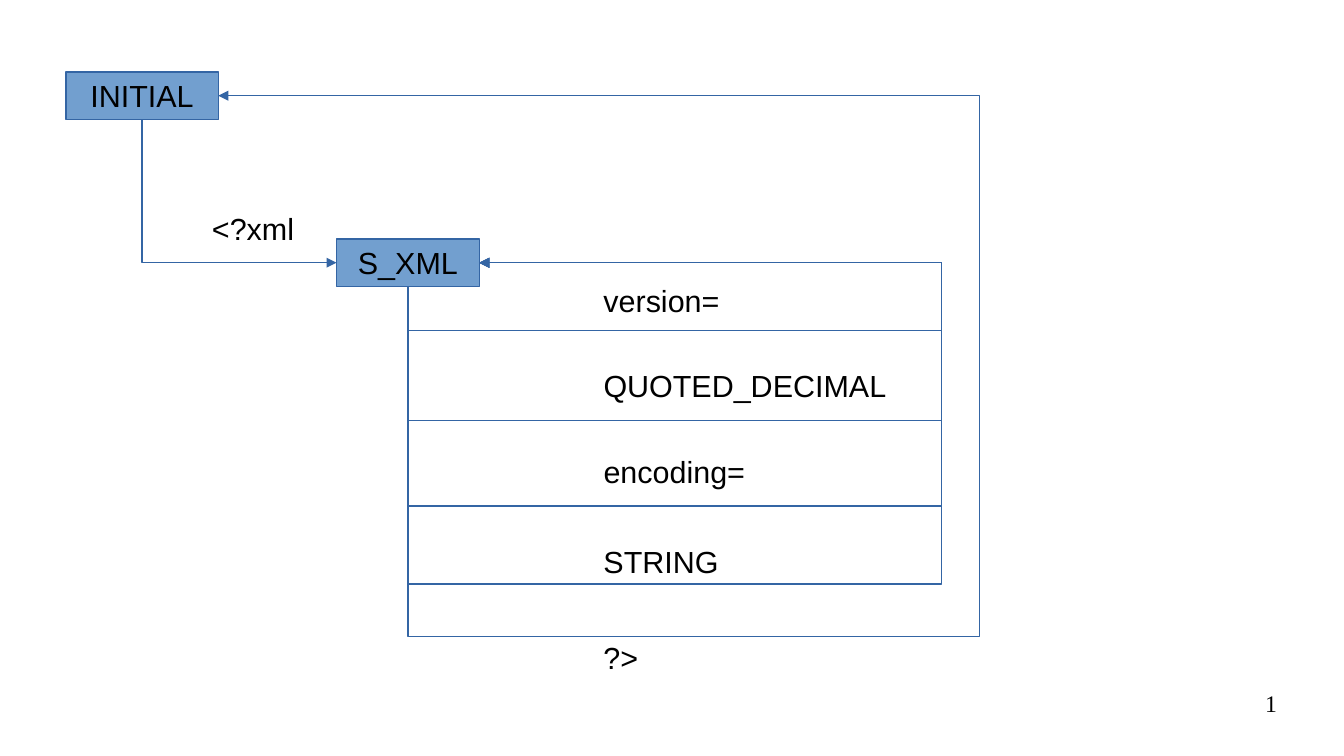
from lxml import etree
from pptx import Presentation
from pptx.dml.color import RGBColor
from pptx.enum.shapes import MSO_SHAPE
from pptx.enum.text import MSO_ANCHOR, PP_ALIGN
from pptx.oxml.ns import qn
from pptx.util import Inches, Pt

RECT = MSO_SHAPE.RECTANGLE
MIDDLE = MSO_ANCHOR.MIDDLE
LEFT, CENTER, RIGHT = PP_ALIGN.LEFT, PP_ALIGN.CENTER, PP_ALIGN.RIGHT

BLUE = RGBColor(0x72, 0x9F, 0xCF)
DARK_BLUE = RGBColor(0x34, 0x65, 0xA4)
BLACK = RGBColor(0, 0, 0)

INITIAL = (0.54, 0.59, 1.25, 0.39)
S_XML = (2.76, 1.96, 1.17, 0.39)
LOOP_RIGHT = 7.72
LOOP_BOTTOMS = (2.71, 3.45, 4.15, 4.79)
RETURN_RIGHT, RETURN_BOTTOM = 8.03, 5.22
TOKEN_LEFT = 4.85
TOKENS = (
    ("version=", 2.26, 1.66),
    ("QUOTED_DECIMAL", 2.96, 2.62),
    ("encoding=", 3.67, 1.95),
    ("STRING", 4.4, 1.16),
    ("?>", 5.19, 0.5),
)


def write(tf, text, align=LEFT, size=18, font="Arial"):
    p = tf.paragraphs[0]
    p.alignment = align
    r = p.add_run()
    r.text = text
    r.font.name = font
    r.font.size = Pt(size)
    r.font.color.rgb = BLACK


def set_outline(sp):
    sp.shadow.inherit = False
    sp.line.color.rgb = DARK_BLUE
    sp.line.width = Pt(0)


def add_state(s, box, name):
    sp = s.shapes.add_shape(RECT, *map(Inches, box))
    sp.fill.solid()
    sp.fill.fore_color.rgb = BLUE
    set_outline(sp)
    sp.text_frame.vertical_anchor = MIDDLE
    write(sp.text_frame, name, CENTER)


def add_label(s, text, left, top, width, height=0.38):
    sp = s.shapes.add_textbox(*map(Inches, (left, top, width, height)))
    sp.text_frame.word_wrap = True
    write(sp.text_frame, text)


def add_transition(s, *points):
    """Draw a bent line through the points, with an arrowhead at the last."""
    start, *rest = [(Inches(x), Inches(y)) for x, y in points]
    builder = s.shapes.build_freeform(*start)
    builder.add_line_segments(rest, close=False)
    sp = builder.convert_to_shape()
    sp.fill.background()
    set_outline(sp)
    etree.SubElement(sp.line._get_or_add_ln(), qn("a:tailEnd"), type="triangle")


def add_page_number(s, number):
    sp = s.shapes.add_textbox(*map(Inches, (7.9, 5.65, 2.57, 0.43)))
    tf = sp.text_frame
    tf.word_wrap = True
    tf.margin_left = tf.margin_top = tf.margin_right = tf.margin_bottom = 0
    write(tf, number, RIGHT, 14, "Times New Roman")


def bottom_middle(box):
    left, top, width, height = box
    return left + width / 2, top + height


def side_middle(box, right=False):
    left, top, width, height = box
    return left + width * right, top + height / 2


def add_loop(s, box, right, bottom, target):
    """Go down from a state, around to the right and back to the target."""
    start, end = bottom_middle(box), side_middle(target, right=True)
    add_transition(s, start, (start[0], bottom), (right, bottom),
                   (right, end[1]), end)


def main():
    prs = Presentation()
    prs.slide_width, prs.slide_height = Inches(11.02), Inches(6.2)
    s = prs.slides.add_slide(prs.slide_layouts[6])

    add_state(s, INITIAL, "INITIAL")
    add_state(s, S_XML, "S_XML")

    start, end = bottom_middle(INITIAL), side_middle(S_XML)
    add_transition(s, start, (start[0], end[1]), end)
    add_label(s, "<?xml", 1.64, 1.67, 0.9)

    add_loop(s, S_XML, RETURN_RIGHT, RETURN_BOTTOM, INITIAL)
    for bottom in LOOP_BOTTOMS:
        add_loop(s, S_XML, LOOP_RIGHT, bottom, S_XML)
    for text, top, width in TOKENS:
        add_label(s, text, TOKEN_LEFT, top, width)

    add_page_number(s, "1")
    prs.save("out.pptx")


if __name__ == "__main__":
    main()
